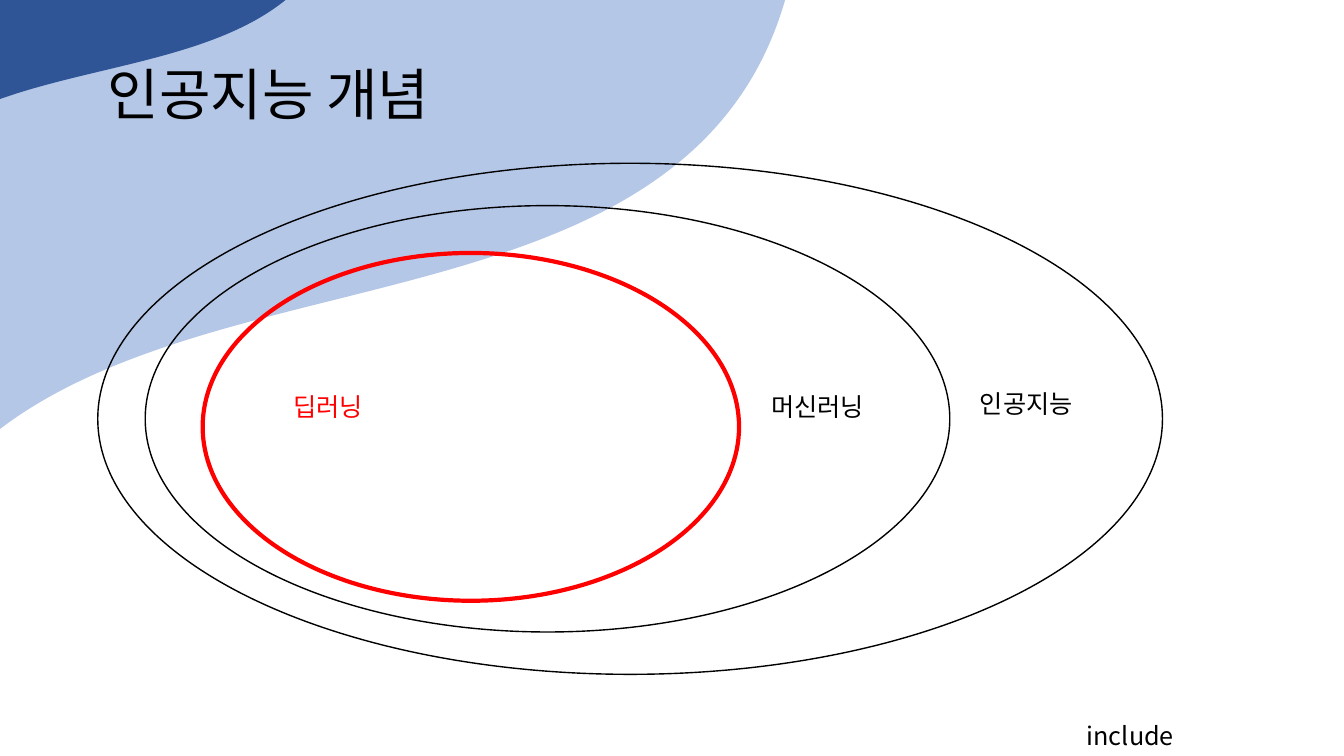
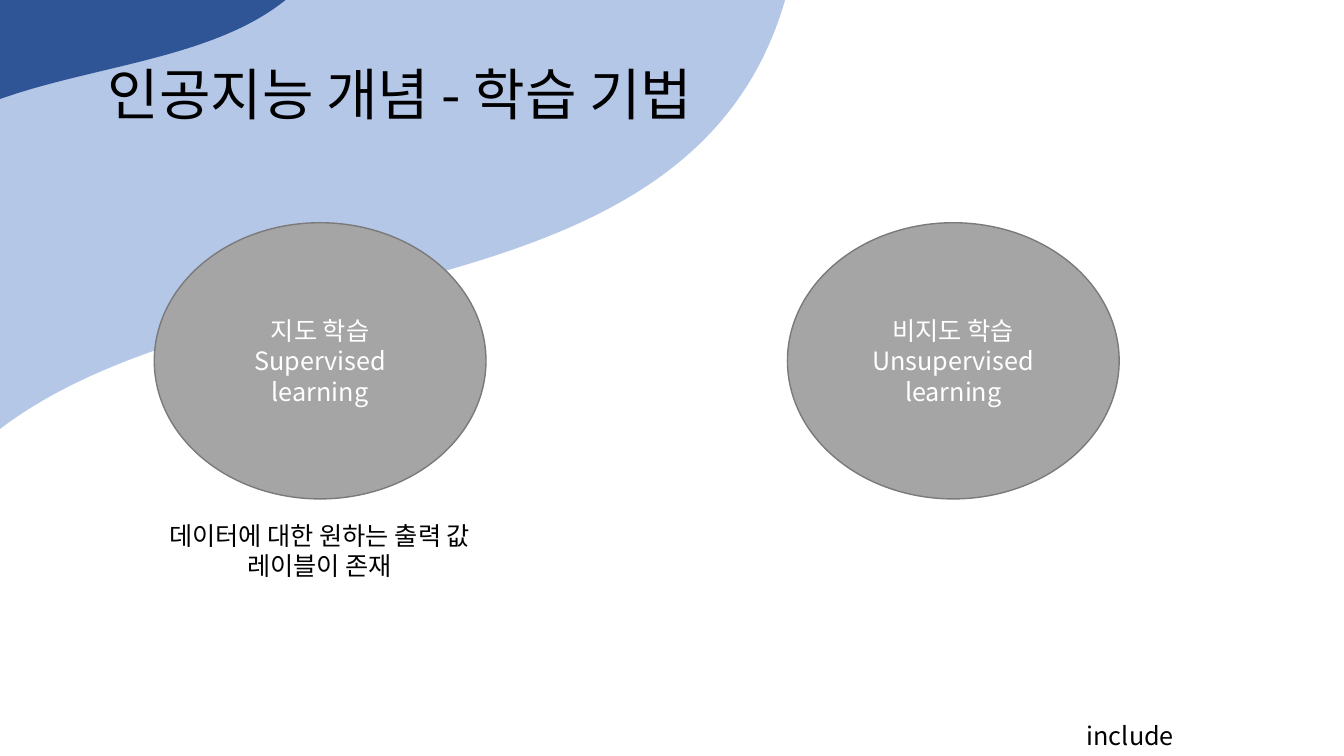
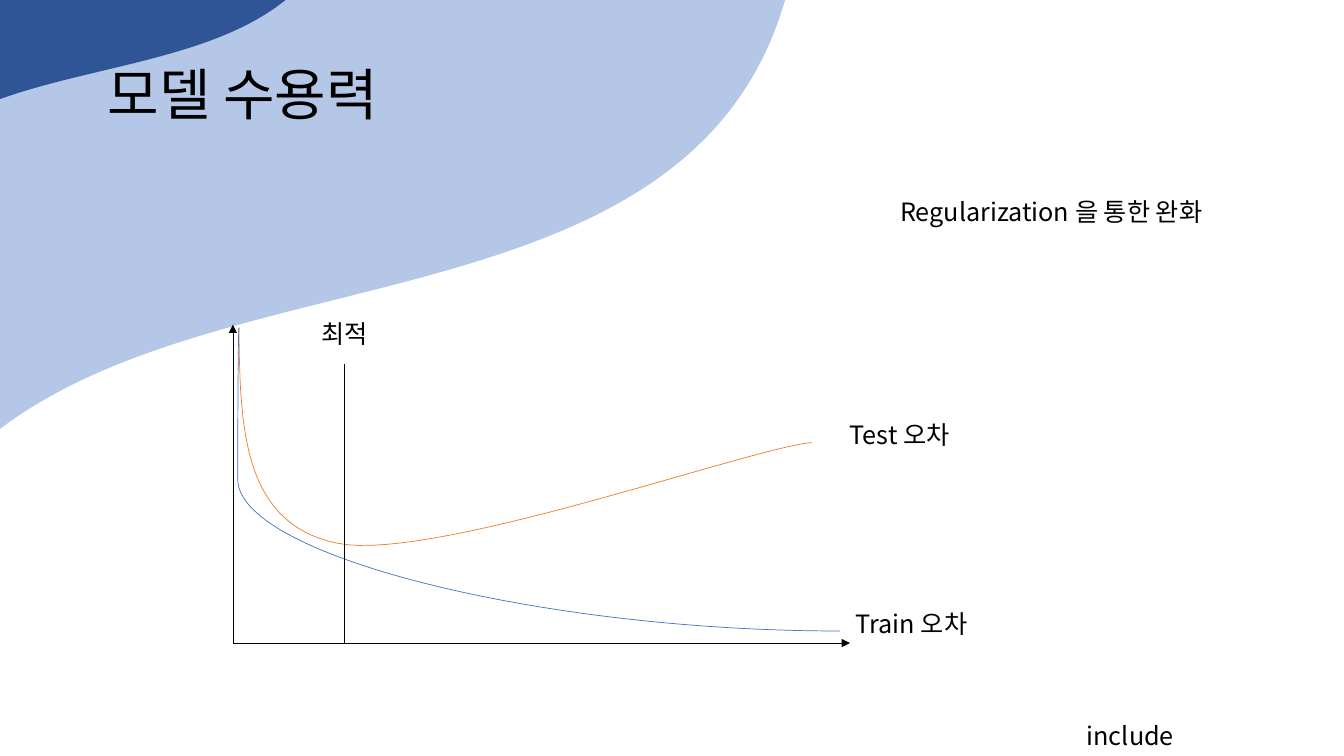
"""Build three slides on the concepts of artificial intelligence and model capacity."""
import lxml.etree
import pptx
import pptx.dml.color
import pptx.enum.shapes
import pptx.enum.text
import pptx.oxml.ns
import pptx.util

FONT = "Noto Sans CJK KR"
BLACK, WHITE, RED = "000000", "FFFFFF", "FF0000"
GRAY, DARK_GRAY, ORANGE, BLUE = "A5A5A5", "7A7A7A", "ED7D31", "4472C4"
SHAPES = pptx.enum.shapes.MSO_SHAPE
CONNECTORS = pptx.enum.shapes.MSO_CONNECTOR
CENTER = pptx.enum.text.PP_ALIGN.CENTER
TITLE_BOX = (0.97, 0.62, 11.33, 1)
TITLE_FORMAT = {"line_spacing": 0.9, "space_before": pptx.util.Pt(10)}
WAVES = [
    ((-5.66, -5.37, 12.54, 10.73), "B4C7E7"),
    ((-3.78, -3.84, 6.65, 5.84), "2F5597"),
]
WAVE_ROTATION = 317.8
FOOTER = ("include", (10.68, 7.1, 3.38, 0.4))

FIELDS = [
    ("인공지능", (0.97, 1.62, 10.56, 5.07), BLACK, 1, (9.62, 3.8)),
    ("머신러닝", (1.44, 2.04, 7.98, 4.23), BLACK, 1, (7.55, 3.83)),
    ("딥러닝", (2.01, 2.51, 5.32, 3.45), RED, 3, (2.81, 3.83)),
]

METHODS = [
    (1.53, ["지도 학습", "Supervised learning"]),
    (7.81, ["비지도 학습", "Unsupervised", "learning"]),
]
METHOD_TOP, METHOD_WIDTH, METHOD_HEIGHT = 2.21, 3.29, 2.74
METHOD_NOTE = ["데이터에 대한 원하는 출력 값", "레이블이 존재"]

ORIGIN = (2.31, 6.38)
AXIS_ENDS = [(2.31, 3.22), (8.43, 6.38)]
OPTIMUM = ((3.42, 3.61), (3.42, 6.38))
TRAIN_CURVE = ((2.37, 3.25), (8.33, 6.26))
TRAIN_BEND = -200
TEST_CURVE = [
    [(2.37, 3.25), (2.38, 4.23), (2.4, 5.2), (3.35, 5.39)],
    [(3.35, 5.39), (4.29, 5.58), (7.42, 4.45), (8.05, 4.39)],
]
CURVE_STEPS = 30
CHART_LABELS = [
    ("최적", (3.09, 3.11, 2.65, 0.4)),
    ("Test 오차", (8.33, 4.11, 1.96, 0.4)),
    ("Train 오차", (8.39, 5.99, 1.96, 0.4)),
    ("Regularization 을 통한 완화", (8.83, 1.9, 4.05, 0.4)),
]


def inches(lengths):
    """Convert plain numbers to lengths."""
    return [pptx.util.Inches(length) for length in lengths]


def color(hex_value):
    """Return the colour for a hex string."""
    return pptx.dml.color.RGBColor.from_string(hex_value)


def set_line(item, line_color, width):
    """Give a shape or connector a plain outline."""
    item.line.color.rgb = color(line_color)
    item.line.width = pptx.util.Pt(width)


def write(shape, lines, size=18, text_color=BLACK, **paragraph_format):
    """Write one paragraph for each line."""
    frame = shape.text_frame
    frame.word_wrap = True
    for index, line in enumerate(lines):
        paragraph = frame.add_paragraph() if index else frame.paragraphs[0]
        for name, value in paragraph_format.items():
            setattr(paragraph, name, value)
        run = paragraph.add_run()
        run.text = line
        font_format = {"name": FONT, "size": pptx.util.Pt(size)}
        for name, value in font_format.items():
            setattr(run.font, name, value)
        run.font.color.rgb = color(text_color)
    qualified = pptx.oxml.ns.qn
    for properties in shape.element.iter(qualified("a:rPr")):
        lxml.etree.SubElement(properties, qualified("a:ea"), typeface=FONT)


def add_text(slide, lines, box, **text_format):
    """Add a wrapping text box."""
    write(slide.shapes.add_textbox(*inches(box)), lines, **text_format)


def add_preset(slide, kind, box, fill=None, line=None, width=1):
    """Add a preset shape with an optional fill and outline."""
    shape = slide.shapes.add_shape(kind, *inches(box))
    shape.shadow.inherit = False
    if fill:
        shape.fill.solid()
        shape.fill.fore_color.rgb = color(fill)
    else:
        shape.fill.background()
    if line:
        set_line(shape, line, width)
    else:
        shape.line.fill.background()
    return shape


def add_connector(slide, start, end, line=BLACK, kind=CONNECTORS.STRAIGHT, arrow=False):
    """Add a thin connector, with an arrowhead at its end if asked."""
    connector = slide.shapes.add_connector(kind, *inches(start + end))
    set_line(connector, line, 0.5)
    qualified = pptx.oxml.ns.qn
    properties = connector.element.find(qualified("p:spPr"))
    if arrow:
        outline = properties.find(qualified("a:ln"))
        lxml.etree.SubElement(outline, qualified("a:tailEnd"), type="triangle")
    lxml.etree.SubElement(properties, qualified("a:effectLst"))
    return connector


def bezier_point(controls, t):
    """Return the point at t on a cubic curve."""
    weights = [(1 - t) ** 3, 3 * t * (1 - t) ** 2, 3 * t**2 * (1 - t), t**3]
    return tuple(sum(w * v for w, v in zip(weights, axis)) for axis in zip(*controls))


def add_slide(presentation, title):
    """Add a slide with the shared waves, footer and title."""
    slide = presentation.slides.add_slide(presentation.slide_layouts[6])
    for box, fill in WAVES:
        add_preset(slide, SHAPES.WAVE, box, fill).rotation = WAVE_ROTATION
    footer, footer_box = FOOTER
    add_text(slide, [footer], footer_box)
    add_text(slide, [title], TITLE_BOX, size=40, **TITLE_FORMAT)
    return slide


def build_fields(presentation):
    """Show the nested fields as ellipses."""
    slide = add_slide(presentation, "인공지능 개념")
    for label, box, line, width, corner in FIELDS:
        add_preset(slide, SHAPES.OVAL, box, line=line, width=width)
        add_text(slide, [label], corner + (1.69, 0.4), text_color=line)


def build_methods(presentation):
    """Show the two learning methods."""
    slide = add_slide(presentation, "인공지능 개념 - 학습 기법")
    for left, lines in METHODS:
        box = (left, METHOD_TOP, METHOD_WIDTH, METHOD_HEIGHT)
        method = add_preset(slide, SHAPES.OVAL, box, GRAY, DARK_GRAY)
        write(method, lines, text_color=WHITE, alignment=CENTER)
    add_text(slide, METHOD_NOTE, (0.79, 5.11, 4.76, 0.71), alignment=CENTER)


def build_capacity(presentation):
    """Sketch test and train error against capacity."""
    slide = add_slide(presentation, "모델 수용력")
    for end in AXIS_ENDS:
        add_connector(slide, ORIGIN, end, arrow=True)

    points = [
        inches(bezier_point(controls, step / CURVE_STEPS))
        for controls in TEST_CURVE
        for step in range(1, CURVE_STEPS + 1)
    ]
    builder = slide.shapes.build_freeform(*inches(TEST_CURVE[0][0]))
    builder.add_line_segments(points, close=False)
    test_curve = builder.convert_to_shape()
    test_curve.shadow.inherit = False
    test_curve.fill.background()
    set_line(test_curve, ORANGE, 0.5)

    train_curve = add_connector(slide, *TRAIN_CURVE, line=BLUE, kind=CONNECTORS.CURVE)
    qualified = pptx.oxml.ns.qn
    for guides in train_curve.element.iter(qualified("a:avLst")):
        lxml.etree.SubElement(
            guides, qualified("a:gd"), name="adj1", fmla=f"val {TRAIN_BEND}"
        )
    add_connector(slide, *OPTIMUM)
    for label, box in CHART_LABELS:
        add_text(slide, [label], box)


def main():
    """Build and save the presentation."""
    presentation = pptx.Presentation()
    presentation.slide_width, presentation.slide_height = inches((13.33, 7.5))
    for build in (build_fields, build_methods, build_capacity):
        build(presentation)
    presentation.save("out.pptx")


main()
